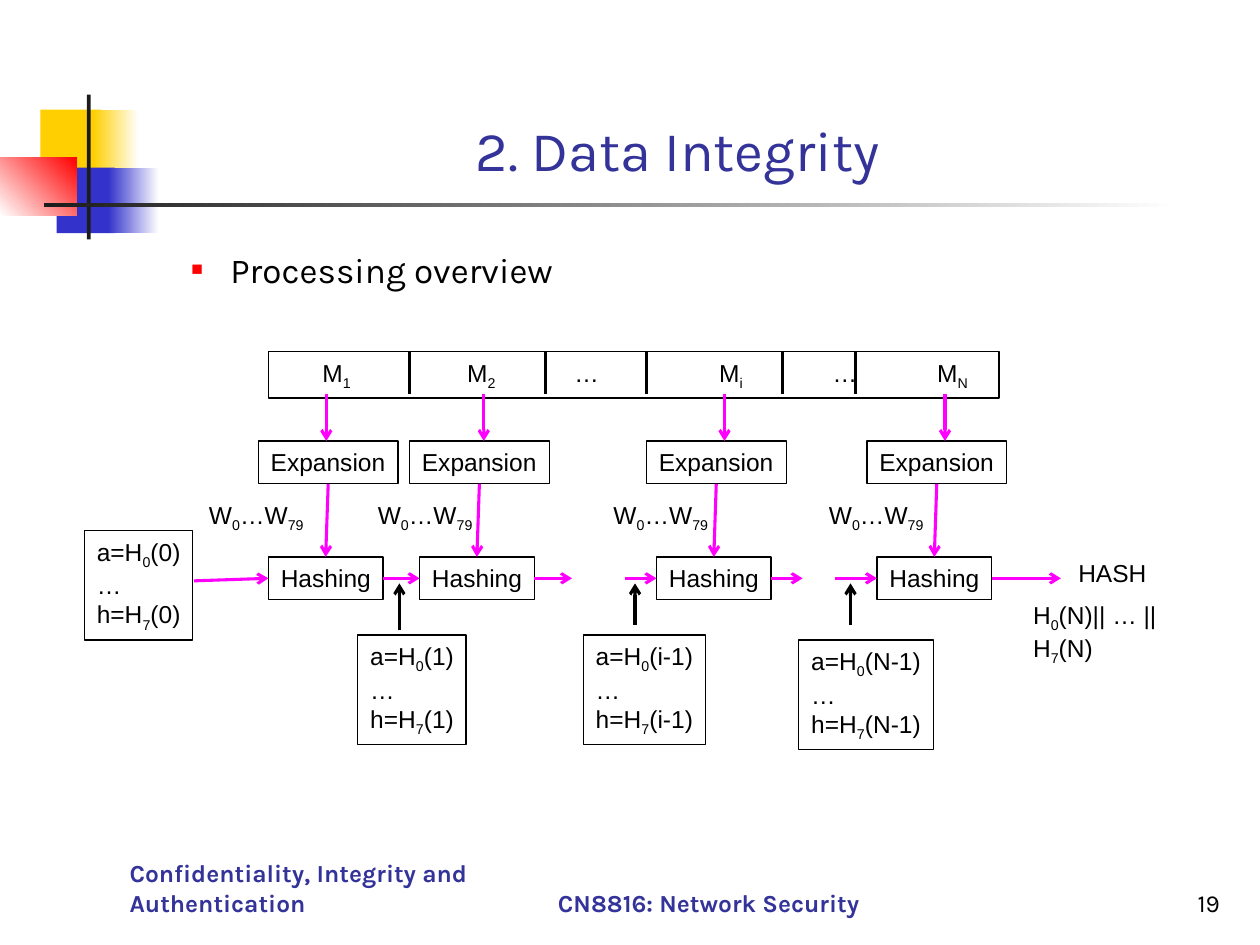
import pptx
import pptx.dml.color
import pptx.enum.shapes
import pptx.enum.text
import pptx.oxml
import pptx.oxml.ns
import pptx.util
from pptx.util import Inches

RECT = pptx.enum.shapes.MSO_SHAPE.RECTANGLE
STRAIGHT = pptx.enum.shapes.MSO_CONNECTOR.STRAIGHT
ANCHOR = pptx.enum.text.MSO_ANCHOR
ALIGN = pptx.enum.text.PP_ALIGN
TOP, LEFT, BOTTOM, RIGHT = range(4)
BLACK, MAGENTA, NAVY = "000000", "FF00FF", "333399"


def color(hex_code):
    return pptx.dml.color.RGBColor.from_string(hex_code)


def add_xml(parent, tag, **attributes):
    child = parent.makeelement(pptx.oxml.ns.qn(tag), attributes)
    parent.append(child)
    return child


def write(shape, lines, size=14, font="Arial", ink=BLACK, bold=False,
          align=ALIGN.LEFT, anchor=ANCHOR.TOP, wrap=False):
    frame = shape.text_frame
    frame.word_wrap = wrap
    frame.vertical_anchor = anchor
    for index, line in enumerate(lines):
        paragraph = frame.add_paragraph() if index else frame.paragraphs[0]
        paragraph.alignment = align
        for position, piece in enumerate(line.split("~")):
            if not piece:
                continue
            run = paragraph.add_run()
            run.text = piece
            run.font.size = pptx.util.Pt(size)
            run.font.name = font
            run.font.bold = bold
            run.font.color.rgb = color(ink)
            if position % 2:
                run._r.get_or_add_rPr().set("baseline", "-25000")
    return frame


def add_label(slide, left, top, width, height, lines, **style):
    label = slide.shapes.add_textbox(Inches(left), Inches(top), Inches(width), Inches(height))
    return write(label, lines, **style)


def add_block(slide, left, top, width, height, fills=(), angle=0):
    block = slide.shapes.add_shape(RECT, Inches(left), Inches(top), Inches(width), Inches(height))
    block.shadow.inherit = False
    if len(fills) == 2:
        block.fill.gradient()
        block.fill.gradient_angle = angle
        for stop, shade in zip(block.fill.gradient_stops, fills):
            stop.color.rgb = color(shade)
    elif fills:
        block.fill.solid()
        block.fill.fore_color.rgb = color(fills[0])
    else:
        block.fill.background()
    block.line.fill.background()
    return block


def add_box(slide, left, top, width, height, lines, **style):
    box = add_block(slide, left, top, width, height)
    box.line.color.rgb = color(BLACK)
    box.line.width = pptx.util.Pt(0.75)
    write(box, lines, **style)
    return box


def add_link(slide, start, end, ink, arrow=True, source=None, target=None):
    link = slide.shapes.add_connector(STRAIGHT, *map(Inches, (*start, *end)))
    link.line.color.rgb = color(ink)
    link.line.width = pptx.util.Pt(1.75)
    if arrow:
        add_xml(link.line._get_or_add_ln(), "a:tailEnd", type="arrow")
    add_xml(link._element.spPr, "a:effectLst")
    if source:
        link.begin_connect(*source)
    if target:
        link.end_connect(*target)


def add_ornament(slide, left, top):
    for x, y, width, height, fills, angle in (
        (0.32, 0.12, 0.48, 0.52, ["FFCF01"], 0),
        (0.74, 0.12, 0.36, 0.52, ["FFCF01", "FFFFFF"], 0),
        (0.45, 0.58, 0.46, 0.52, ["3333CC"], 0),
        (0.86, 0.58, 0.4, 0.52, ["3333CC", "FFFFFF"], 0),
        (0, 0.5, 0.61, 0.46, ["FFFFFF", "FF0000"], 45),
        (0.69, 0, 0.03, 1.15, ["1C1C1C"], 0),
        (0.35, 0.86, 9, 0.03, ["1C1C1C", "FFFFFF"], 0),
    ):
        add_block(slide, left + x, top + y, width, height, fills, angle)


def add_heading(slide, left, top, width, height):
    add_label(slide, left, top, width, height, ["2. Data Integrity"], size=32, font="Karla",
              ink=NAVY, align=ALIGN.CENTER, anchor=ANCHOR.BOTTOM, wrap=True)


def add_body(slide, left, top, width, height):
    frame = add_label(slide, left, top, width, height, ["Processing overview"],
                      size=20, font="Karla", wrap=True)
    properties = frame.paragraphs[0]._p.get_or_add_pPr()
    properties.set("marL", str(Inches(0.81)))
    properties.set("indent", str(Inches(-0.31)))
    add_xml(add_xml(properties, "a:buClr"), "a:srgbClr", val="FF0000")
    add_xml(properties, "a:buSzPct", val="55000")
    add_xml(properties, "a:buFont", typeface="Arial")
    add_xml(properties, "a:buChar", char="■")


def add_message(slide, left, top, width, height):
    message = add_box(slide, left, top, width, height,
                      ["\tM~1~\tM~2~\t…\tM~i~\t…\tM~N~"], wrap=True)
    tabs = add_xml(message.text_frame.paragraphs[0]._p.get_or_add_pPr(), "a:tabLst")
    for stop in (0.33, 1.48, 2.33, 3.48, 4.38, 5.21):
        add_xml(tabs, "a:tab", pos=str(Inches(stop)), algn="l")
    for x in (1.12, 2.2, 3, 4.08, 4.66):
        add_link(slide, (left + x, top), (left + x, top + 0.34), BLACK, arrow=False)


def add_stage(slide, left, top, word_left, block_x):
    expansion = add_box(slide, left, top, 1.11, 0.34, ["Expansion"])
    hashing = add_box(slide, left + 0.08, top + 0.92, 0.91, 0.34, ["Hashing"])
    add_link(slide, (block_x, top - 0.37), (block_x, top), MAGENTA)
    add_link(slide, (left, top), (left, top), MAGENTA,
             source=(expansion, BOTTOM), target=(hashing, TOP))
    add_label(slide, word_left, top + 0.42, 0.95, 0.37, ["W~0~…W~79~"])
    return hashing


def add_state(slide, left, top, width, step):
    add_box(slide, left, top, width, 0.87, [f"a=H~0~({step})", "…", f"h=H~7~({step})"])


def add_diagram(slide, left, top):
    add_message(slide, left + 1.46, top, 5.8, 0.37)
    hashings = [
        add_stage(slide, left + x, top + 0.71, left + word_x, left + block_x)
        for x, word_x, block_x in (
            (1.38, 0.89, 1.92), (2.58, 2.23, 3.17), (4.46, 4.1, 5.08), (6.21, 5.81, 6.83))
    ]
    for x, y, width, step in ((0, 1.42, 0.86, "0"), (2.17, 2.25, 0.86, "1"),
                              (3.96, 2.25, 0.97, "i-1"), (5.67, 2.29, 1.07, "N-1")):
        add_state(slide, left + x, top + y, width, step)
    for x, y in ((2.5, 2.21), (4.37, 2.17), (6.08, 2.17)):
        add_link(slide, (left + x, top + y), (left + x, top + 1.84), BLACK)

    first, second, middle, last = hashings
    for x, y, hashing in ((0.87, 1.82, first), (4.29, 1.8, middle), (5.96, 1.8, last)):
        start = (left + x, top + y)
        add_link(slide, start, start, MAGENTA, target=(hashing, LEFT))
    for x, hashing in ((3.87, second), (5.7, middle), (7.75, last)):
        end = (left + x, top + 1.8)
        add_link(slide, end, end, MAGENTA, source=(hashing, RIGHT))
    add_link(slide, (left, top), (left, top), MAGENTA,
             source=(first, RIGHT), target=(second, LEFT))

    add_label(slide, left + 7.79, top + 1.59, 0.74, 0.34, ["HASH"])
    add_label(slide, left + 7.43, top + 1.92, 1.65, 0.37, ["H~0~(N)|| … ||H~7~(N)"])


def add_footer(slide, left, top, height):
    for x, width, text, ink, bold, align in (
        (0, 3, "Confidentiality, Integrity and Authentication", NAVY, True, ALIGN.LEFT),
        (3.07, 3.25, "CN8816: Network Security", NAVY, True, ALIGN.CENTER),
        (6.77, 2.08, "19", BLACK, False, ALIGN.RIGHT),
    ):
        add_label(slide, left + x, top, width, height, [text], font="Karla", ink=ink,
                  bold=bold, align=align, anchor=ANCHOR.BOTTOM, wrap=True)


def main():
    deck = pptx.Presentation()
    deck.slide_width, deck.slide_height = Inches(10), Inches(7.5)
    slide = deck.slides.add_slide(deck.slide_layouts[6])
    add_ornament(slide, 0, 0.75)
    add_heading(slide, 1.12, 0.33, 8.52, 1.17)
    add_body(slide, 0.92, 1.92, 8.88, 4.79)
    add_diagram(slide, 0.67, 2.79)
    add_footer(slide, 0.93, 6.83, 0.5)
    deck.save("out.pptx")


if __name__ == "__main__":
    main()
